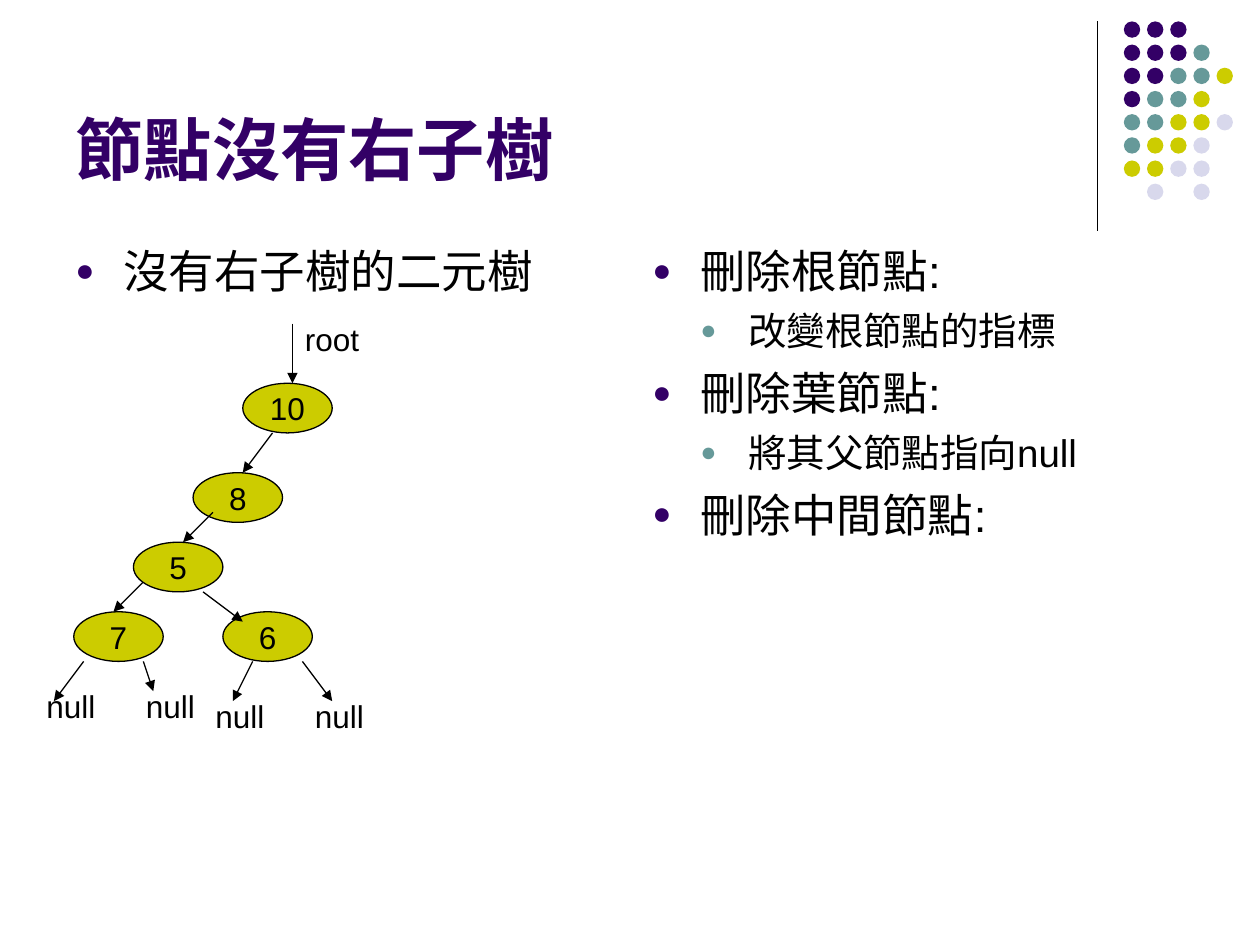
from lxml.etree import SubElement
from pptx import Presentation
from pptx.dml.color import RGBColor
from pptx.enum.shapes import MSO_CONNECTOR, MSO_SHAPE
from pptx.enum.text import MSO_ANCHOR, PP_ALIGN
from pptx.oxml.ns import qn
from pptx.util import Inches, Pt

BLACK = RGBColor(0x00, 0x00, 0x00)
PURPLE = RGBColor(0x33, 0x00, 0x66)
TEAL = RGBColor(0x66, 0x99, 0x99)
OLIVE = RGBColor(0xCC, 0xCC, 0x00)
LAVENDER = RGBColor(0xD8, 0xD8, 0xEC)
FONT = "Arial"

# Corner dots, one letter a dot
DOT_COLORS = {"P": PURPLE, "T": TEAL, "O": OLIVE, "L": LAVENDER}
DOT_ROWS = ["PPP", "PPPT", "PPTTO", "PTTO", "TTOOL", "TOOL", "OOLL", " L L"]

# Outline levels: size, space before, bullet colour
LEVELS = [(26, 6.5, PURPLE), (22, 5.5, TEAL)]
LEFT_POINTS = [(0, "沒有右子樹的二元樹")]
RIGHT_POINTS = [
    (0, "刪除根節點:"),
    (1, "改變根節點的指標"),
    (0, "刪除葉節點:"),
    (1, "將其父節點指向null"),
    (0, "刪除中間節點:"),
]

# Tree parts in columns and rows of the tree's grid
TREE_COLUMNS, TREE_ROWS = 36, 43
NODE_SIZE = (9, 5)
NODES = [("10", 21, 7), ("8", 16, 16), ("5", 10, 23), ("7", 4, 30), ("6", 19, 30)]
LABELS = [("null", 0, 37, 8), ("null", 10, 37, 8), ("null", 17, 38, 8),
          ("null", 27, 38, 8), ("root", 26, 0, 10)]
ARROWS = [
    ((26, 1), (26, 7)),
    ((24, 12), (21, 16)), ((18, 20), (15, 23)),
    ((17, 28), (21, 31)), ((11, 27), (8, 30)),
    ((5, 35), (2, 39)), ((11, 35), (12, 38)),
    ((22, 35), (20, 39)), ((27, 35), (30, 39)),
]


def style_text(para, size, color=BLACK, bold=False):
    for span in para.runs:
        span.font.name = FONT
        span.font.size = Pt(size)
        span.font.bold = bold
        span.font.color.rgb = color


def add_line(page, start, end, arrow=False):
    line = page.shapes.add_connector(
        MSO_CONNECTOR.STRAIGHT, *(Inches(value) for value in (*start, *end)))
    line.line.color.rgb = BLACK
    line.line.width = Pt(0.75)
    if arrow:
        SubElement(line.line._get_or_add_ln(), qn("a:tailEnd"), type="triangle")
    SubElement(line._element.spPr, qn("a:effectLst"))


def add_ellipse(page, box, fill):
    ellipse = page.shapes.add_shape(MSO_SHAPE.OVAL, *map(Inches, box))
    ellipse.shadow.inherit = False
    ellipse.fill.solid()
    ellipse.fill.fore_color.rgb = fill
    return ellipse


def add_corner(page, box):
    """Vertical rule with the grid of dots to its right."""
    left, top, width, height = box
    add_line(page, (left, top), (left, top + height))
    step = width / 5.87
    dots_left = left + 1.14 * step
    for row, letters in enumerate(DOT_ROWS):
        for column, letter in enumerate(letters):
            if letter in DOT_COLORS:
                spot = (dots_left + column * step, top + row * step)
                dot = add_ellipse(page, (*spot, 0.13, 0.13), DOT_COLORS[letter])
                dot.line.fill.background()


def add_title(page, box, text):
    title = page.shapes.title
    title.left, title.top, title.width, title.height = map(Inches, box)
    frame = title.text_frame
    frame.text = text
    frame.vertical_anchor = MSO_ANCHOR.BOTTOM
    frame.paragraphs[0].alignment = PP_ALIGN.LEFT
    style_text(frame.paragraphs[0], 39, PURPLE, bold=True)


def add_bullet(para, level, color):
    properties = para._p.get_or_add_pPr()
    properties.set("marL", str(Inches(0.38 * (level + 1))))
    properties.set("indent", str(Inches(-0.38)))
    bullet_color = SubElement(properties, qn("a:buClr"))
    SubElement(bullet_color, qn("a:srgbClr"), val=str(color))
    SubElement(properties, qn("a:buSzPct"), val="70000")
    SubElement(properties, qn("a:buFont"), typeface=FONT)
    SubElement(properties, qn("a:buChar"), char="●")


def add_outline(page, box, points):
    frame = page.shapes.add_textbox(*map(Inches, box)).text_frame
    frame.word_wrap = True
    for index, (level, text) in enumerate(points):
        para = frame.add_paragraph() if index else frame.paragraphs[0]
        size, space, color = LEVELS[level]
        para.text = text
        para.level = level
        add_bullet(para, level, color)
        if index:
            para.space_before = Pt(space)
        style_text(para, size)


def add_tree(page, box):
    left, top, width, height = box
    column_width, row_height = width / TREE_COLUMNS, height / TREE_ROWS

    def place(column, row):
        return left + column * column_width, top + row * row_height

    def extent(columns, rows):
        return columns * column_width, rows * row_height

    # Nodes
    for text, column, row in NODES:
        node = add_ellipse(page, (*place(column, row), *extent(*NODE_SIZE)), OLIVE)
        node.line.color.rgb = BLACK
        node.line.width = Pt(0.75)
        frame = node.text_frame
        frame.text = text
        frame.word_wrap = False
        frame.vertical_anchor = MSO_ANCHOR.MIDDLE
        frame.paragraphs[0].alignment = PP_ALIGN.CENTER
        style_text(frame.paragraphs[0], 18)

    # Pointer labels
    for text, column, row, columns in LABELS:
        area = (*place(column, row), *extent(columns, 5))
        frame = page.shapes.add_textbox(*map(Inches, area)).text_frame
        frame.text = text
        frame.word_wrap = True
        style_text(frame.paragraphs[0], 18)

    # Pointers
    for start, end in ARROWS:
        add_line(page, place(*start), place(*end), arrow=True)


def main():
    deck = Presentation()
    deck.slide_width, deck.slide_height = Inches(10), Inches(7.5)
    page = deck.slides.add_slide(deck.slide_layouts[5])
    add_corner(page, (8.71, 0.17, 1.08, 1.66))
    add_title(page, (0.5, 0.13, 8.25, 1.42), "節點沒有右子樹")
    add_outline(page, (0.5, 1.88, 4.42, 4.82), LEFT_POINTS)
    add_outline(page, (5.08, 1.88, 4.42, 4.82), RIGHT_POINTS)
    add_tree(page, (0.27, 2.49, 2.84, 3.39))
    deck.save("out.pptx")


if __name__ == "__main__":
    main()
